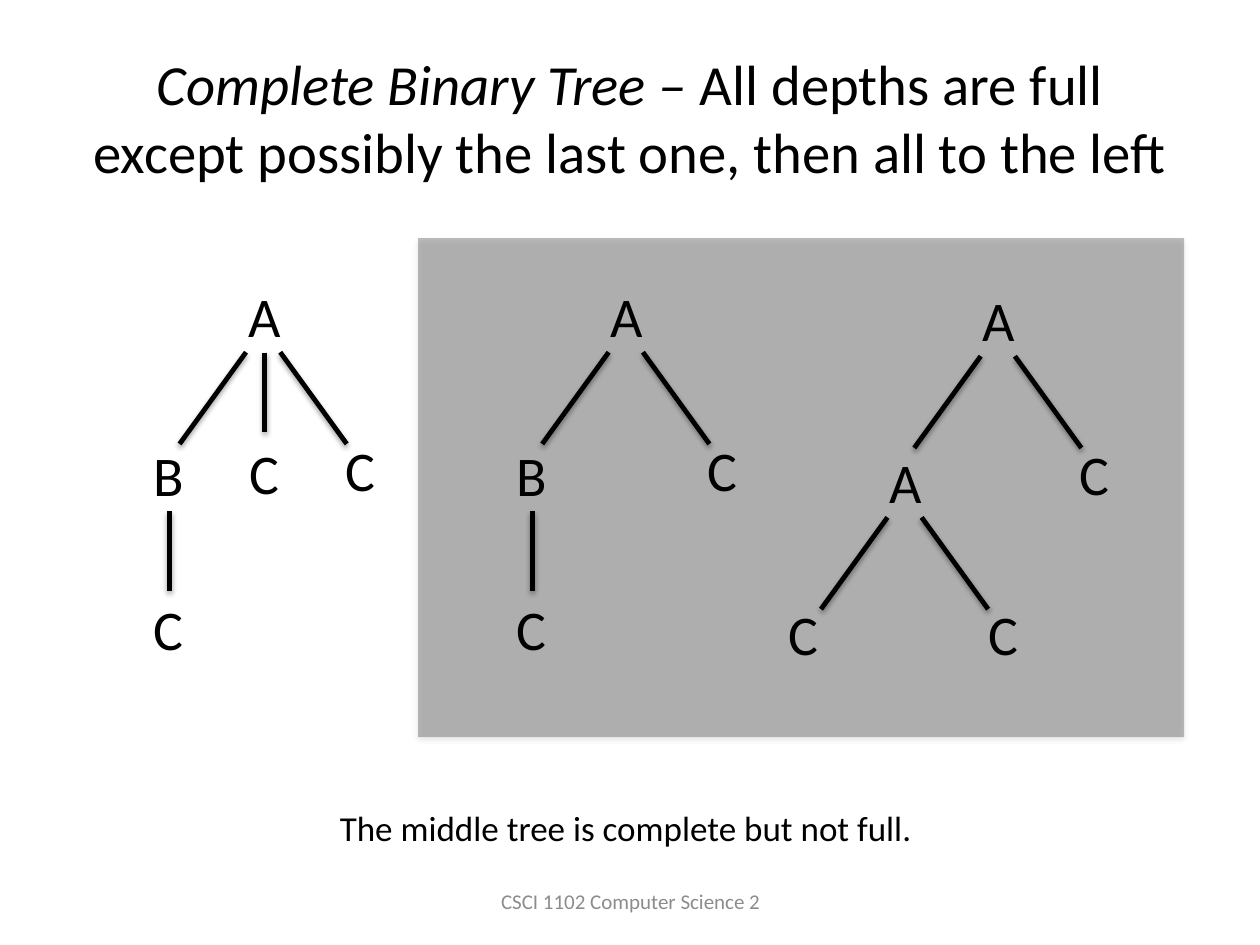
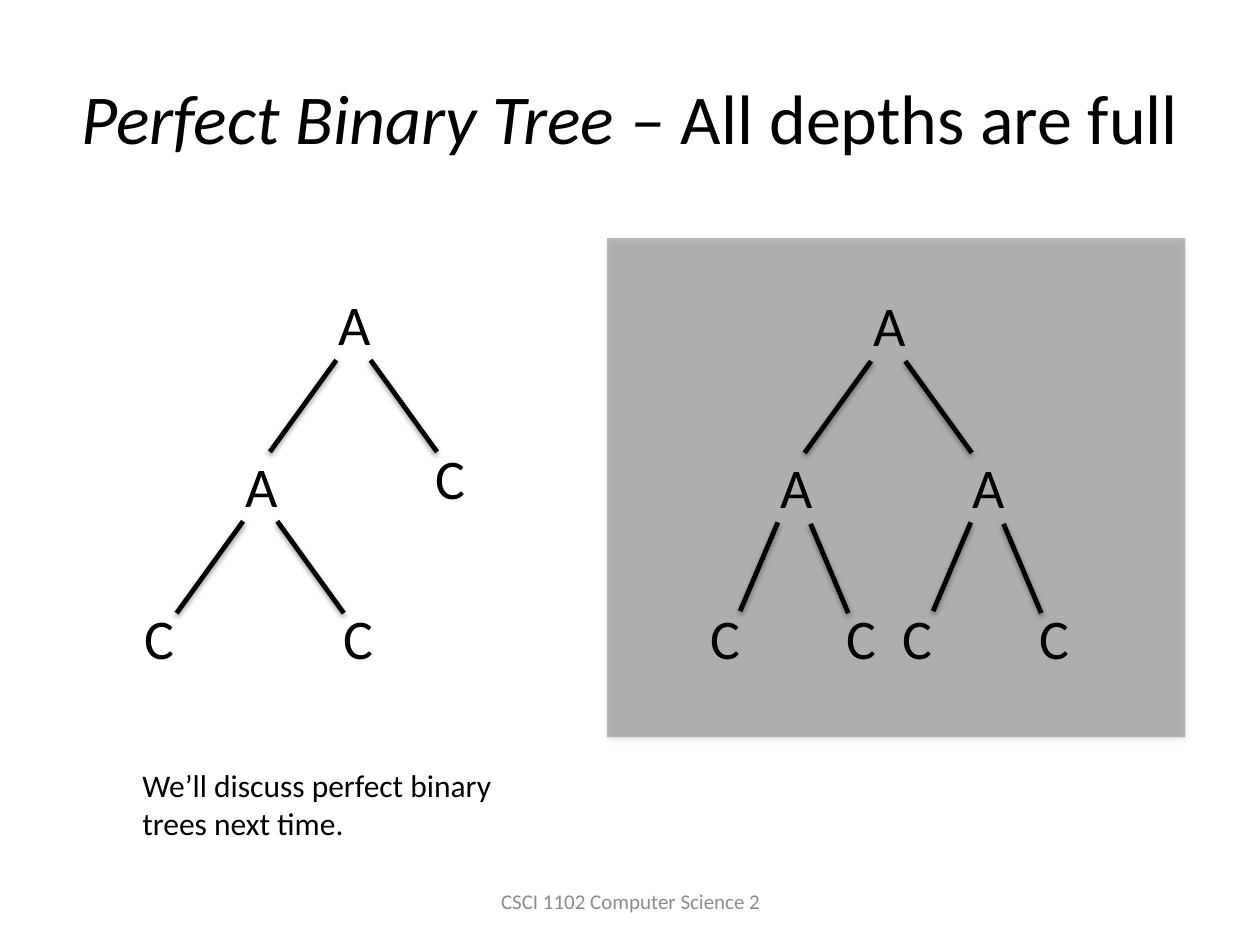
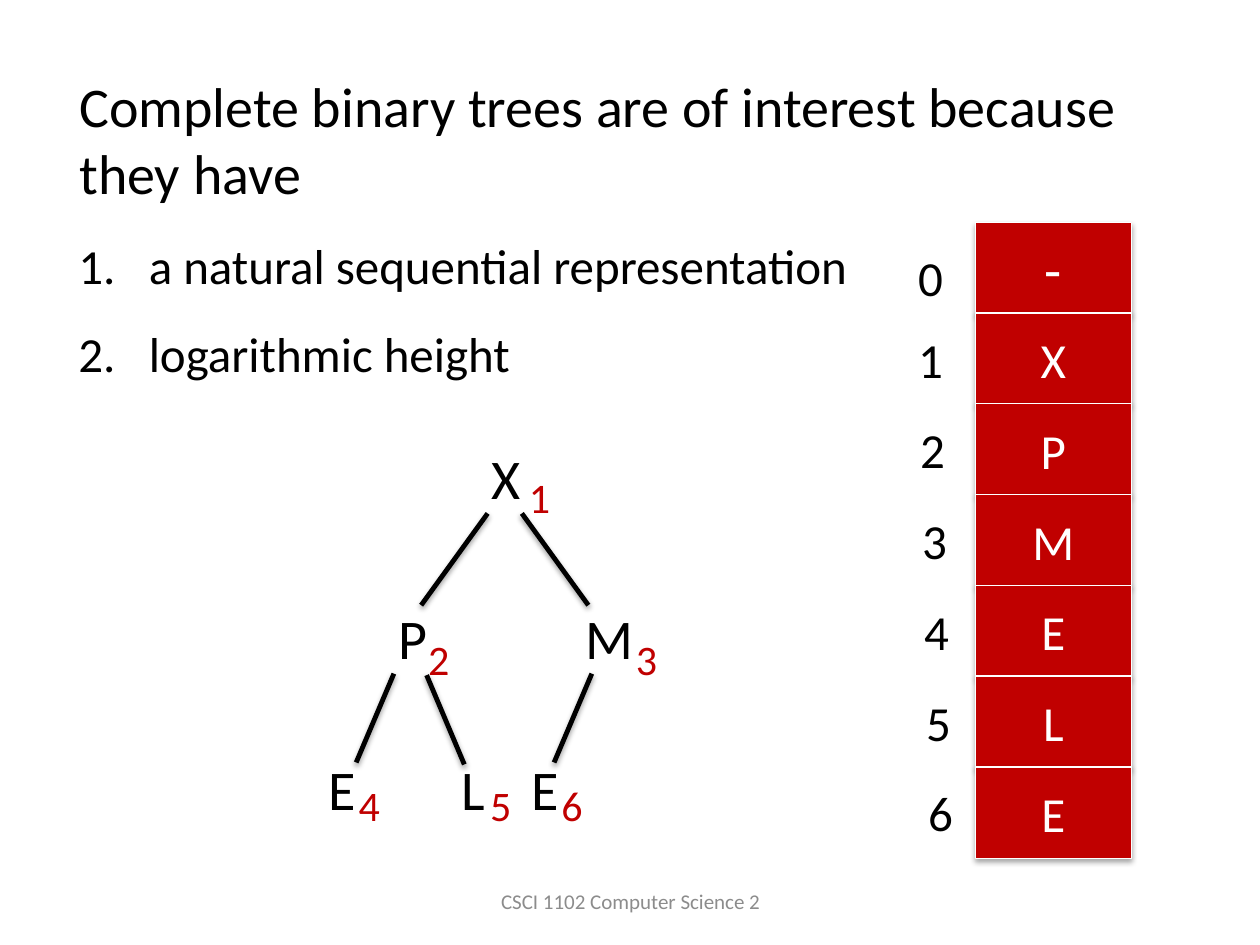
from lxml.etree import SubElement
from pptx import Presentation
from pptx.dml.color import RGBColor
from pptx.enum.shapes import MSO_CONNECTOR, MSO_SHAPE
from pptx.enum.text import MSO_ANCHOR, MSO_AUTO_SIZE, PP_ALIGN
from pptx.oxml.ns import qn
from pptx.util import Cm, Pt

BLACK = RGBColor(0x00, 0x00, 0x00)
WHITE = RGBColor(0xFF, 0xFF, 0xFF)
RED = RGBColor(0xC0, 0x00, 0x00)
GRAY = RGBColor(0x8C, 0x8C, 0x8C)
FONT = "Calibri"

LETTER_WIDTHS = {"A": 1.17, "B": 1.14, "C": 1.12, "E": 1.07,
                 "L": 0.99, "M": 1.5, "P": 1.09, "X": 1.12}
LETTER_HEIGHT = 1.63

EDGES = {
    "left": (-0.38, 1.54, -1.72, 3.39),
    "right": (0.31, 1.54, 1.65, 3.39),
    "down": (0, 1.55, 0, 3.15),
    "steep left": (-0.38, 1.54, -1.14, 3.33),
    "steep right": (0.28, 1.57, 1.04, 3.37),
}
WIDE = ("left", "right")
STEEP = ("steep left", "steep right")
DOWN = ("down",)

CHAIN_TREE = [("A", 0, 0, WIDE), ("B", -1.92, 3.2, DOWN),
              ("C", 1.93, 3.1, ()), ("C", -1.93, 6.3, ())]
TERNARY_TREE = [("A", 0, 0, WIDE + DOWN), *CHAIN_TREE[1:], ("C", 0, 3.15, ())]
FULL_TREE = [("A", 0, 0, WIDE), ("A", -1.88, 3.25, WIDE), ("C", 1.93, 3.1, ()),
             ("C", -3.94, 6.32, ()), ("C", 0.08, 6.32, ())]
PERFECT_TREE = [("A", 0, 0, WIDE), ("A", -1.88, 3.25, STEEP), ("A", 2.01, 3.25, STEEP),
                ("C", -3.3, 6.3, ()), ("C", -0.56, 6.3, ()),
                ("C", 0.56, 6.3, ()), ("C", 3.33, 6.3, ())]
HEAP_TREE = [("X", 0, 0, WIDE), ("P", -1.89, 3.23, STEEP), ("M", 2.1, 3.23, STEEP[:1]),
             ("E", -3.3, 6.27, ()), ("L", -0.67, 6.27, ()), ("E", 0.79, 6.27, ())]
HEAP_INDEXES = [(0.2, 0.58), (-1.83, 3.84), (2.36, 3.84),
                (-3.23, 6.78), (-0.58, 6.78), (0.86, 6.78)]


def write(p, text, *, size, color=BLACK, italic=False, align=PP_ALIGN.LEFT):
    p.alignment = align
    r = p.add_run()
    r.text = text
    r.font.name = FONT
    r.font.size = Pt(size)
    r.font.italic = italic
    r.font.color.rgb = color


def add_box(s, x, y, w, h, *, wrap=True, anchor=MSO_ANCHOR.TOP):
    tf = s.shapes.add_textbox(Cm(x), Cm(y), Cm(w), Cm(h)).text_frame
    tf.word_wrap = wrap
    tf.vertical_anchor = anchor
    if not wrap:
        tf.auto_size = MSO_AUTO_SIZE.SHAPE_TO_FIT_TEXT
    return tf


def add_text(s, text, x, y, w, h, *, wrap=True, **fmt):
    write(add_box(s, x, y, w, h, wrap=wrap).paragraphs[0], text, **fmt)


def add_title(s, term, meaning, size):
    p = add_box(s, 1.27, 0.76, 22.86, 3.18, anchor=MSO_ANCHOR.MIDDLE).paragraphs[0]
    write(p, term, size=size, italic=True, align=PP_ALIGN.CENTER)
    write(p, meaning, size=size, align=PP_ALIGN.CENTER)


def add_footer(s):
    tf = add_box(s, 8.69, 17.65, 8.05, 1.02, anchor=MSO_ANCHOR.MIDDLE)
    write(tf.paragraphs[0], "CSCI 1102 Computer Science 2", size=12, color=GRAY,
          align=PP_ALIGN.CENTER)


def add_shadow(sp, opacity, distance):
    effects = SubElement(sp._element.spPr, qn("a:effectLst"))
    shadow = SubElement(effects, qn("a:outerShdw"), blurRad="40000", dist=str(distance),
                        dir="5400000", rotWithShape="0")
    color = SubElement(shadow, qn("a:srgbClr"), val=str(BLACK))
    SubElement(color, qn("a:alpha"), val=str(opacity * 1000))


def add_edge(s, x1, y1, x2, y2):
    line = s.shapes.add_connector(MSO_CONNECTOR.STRAIGHT, Cm(x1), Cm(y1), Cm(x2), Cm(y2))
    line.line.color.rgb = BLACK
    line.line.width = Pt(2.75)
    add_shadow(line, 38, 20000)


def add_tree(s, nodes, root_x, root_y):
    for letter, dx, dy, edges in nodes:
        x, y = root_x + dx, root_y + dy
        w = LETTER_WIDTHS[letter]
        add_text(s, letter, x - w / 2, y, w, LETTER_HEIGHT, wrap=False, size=32)
        for x1, y1, x2, y2 in (EDGES[edge] for edge in edges):
            add_edge(s, x + x1, y + y1, x + x2, y + y2)


def add_rect(s, x, y, w, h, fill):
    sp = s.shapes.add_shape(MSO_SHAPE.RECTANGLE, Cm(x), Cm(y), Cm(w), Cm(h))
    sp.fill.solid()
    sp.fill.fore_color.rgb = fill
    return sp


def add_veil(s, x, w):
    sp = add_rect(s, x, 4.8, w, 10.06, BLACK)
    sp.line.fill.background()
    color = sp._element.spPr.find(qn("a:solidFill"))[0]
    SubElement(color, qn("a:alpha"), val="25000")
    add_shadow(sp, 35, 23000)


def add_array(s, values):
    step = 1.83
    for i, value in enumerate(values):
        sp = add_rect(s, 19.66, 4.48 + i * step, 3.15, 1.85, RED)
        sp.line.color.rgb = WHITE
        sp.line.width = Pt(0.75)
        add_shadow(sp, 35, 23000)
        sp.text_frame.vertical_anchor = MSO_ANCHOR.MIDDLE
        write(sp.text_frame.paragraphs[0], value, size=28 if i else 32, color=WHITE,
              align=PP_ALIGN.CENTER)
    for i in range(len(values)):
        y = 4.68 + i * step if i else 4.86
        add_text(s, str(i), 18.26 + 0.04 * max(i - 1, 0), y, 1.02, 1.45,
                 wrap=False, size=28)


def add_numbered_list(s, items, x, y, w, h):
    tf = add_box(s, x, y, w, h)
    for i, item in enumerate(items):
        p = tf.add_paragraph() if i else tf.paragraphs[0]
        pPr = p._p.get_or_add_pPr()
        pPr.set("marL", str(Cm(1.42)))
        pPr.set("indent", str(Cm(-1.42)))
        SubElement(pPr, qn("a:buFont"), typeface=FONT)
        SubElement(pPr, qn("a:buAutoNum"), type="arabicPeriod")
        if i:
            p.space_before = Pt(17)
        write(p, item, size=28)


def complete_slide(s):
    add_title(s, "Complete Binary Tree – ",
              "All depths are full except possibly the last one, then all to the left", 32.4)
    add_tree(s, CHAIN_TREE, 12.65, 5.56)
    add_tree(s, TERNARY_TREE, 5.34, 5.56)
    add_tree(s, FULL_TREE, 20.15, 5.64)
    add_veil(s, 8.43, 15.44)
    add_text(s, "The middle tree is complete but not full.", 6.6, 16.13, 12.14, 1.12, size=20)


def perfect_slide(s):
    add_title(s, "Perfect Binary Tree – ", "All depths are full", 40)
    add_tree(s, FULL_TREE, 7.16, 5.72)
    add_tree(s, PERFECT_TREE, 17.94, 5.74)
    add_veil(s, 12.24, 11.66)
    add_text(s, "We’ll discuss perfect binary trees next time.", 2.62, 15.32, 7.59, 1.8, size=18)


def representation_slide(s):
    root_x, root_y = 10.21, 8.81
    add_tree(s, HEAP_TREE, root_x, root_y)
    for i, (dx, dy) in enumerate(HEAP_INDEXES, 1):
        add_text(s, str(i), root_x + dx, root_y + dy, 0.94, 1.27, size=24, color=RED)
    add_text(s, "Complete binary trees are of interest because they have",
             1.35, 1.32, 21.46, 3.28, size=32)
    add_array(s, "-XPMELE")
    add_numbered_list(s, ["a natural sequential representation", "logarithmic height"],
                      1.33, 4.62, 16.81, 4.47)


def main():
    prs = Presentation()
    prs.slide_width, prs.slide_height = Cm(25.4), Cm(19.05)
    for build in (complete_slide, perfect_slide, representation_slide):
        s = prs.slides.add_slide(prs.slide_layouts[6])
        add_footer(s)
        build(s)
    prs.save("out.pptx")


if __name__ == "__main__":
    main()
